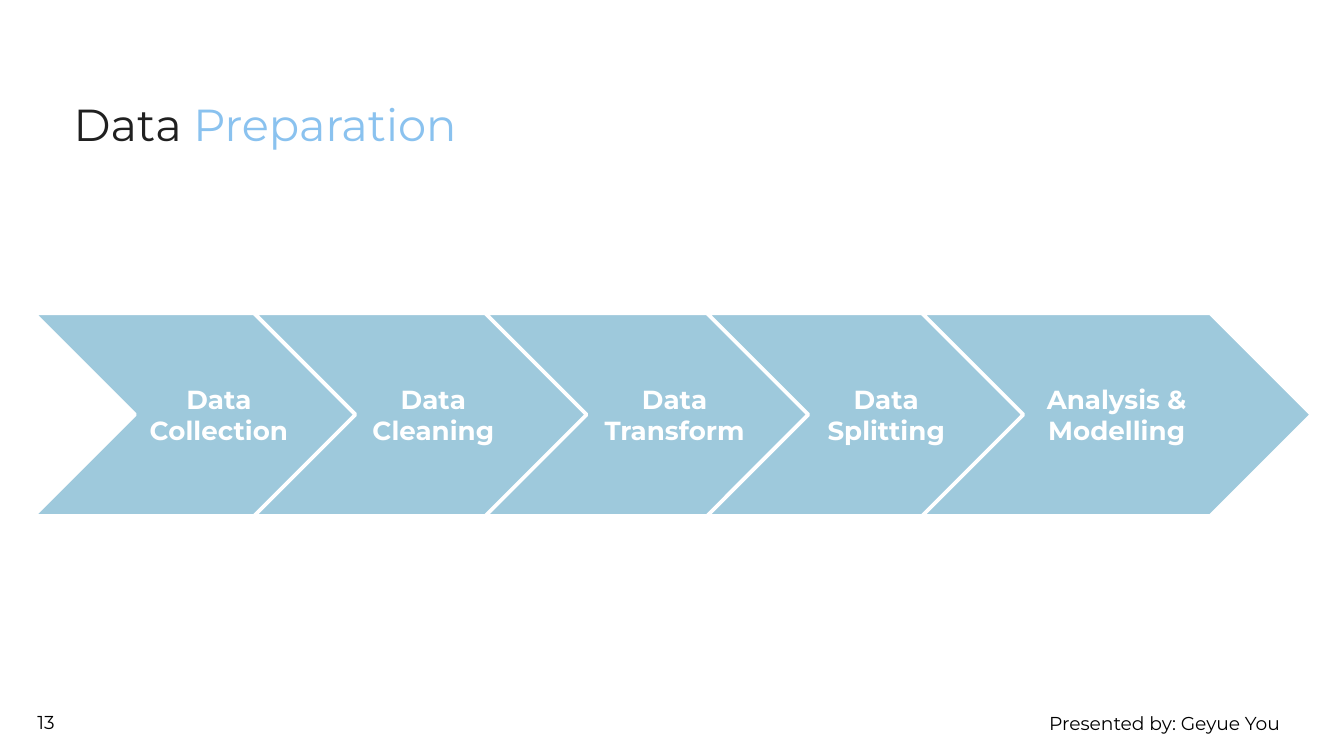
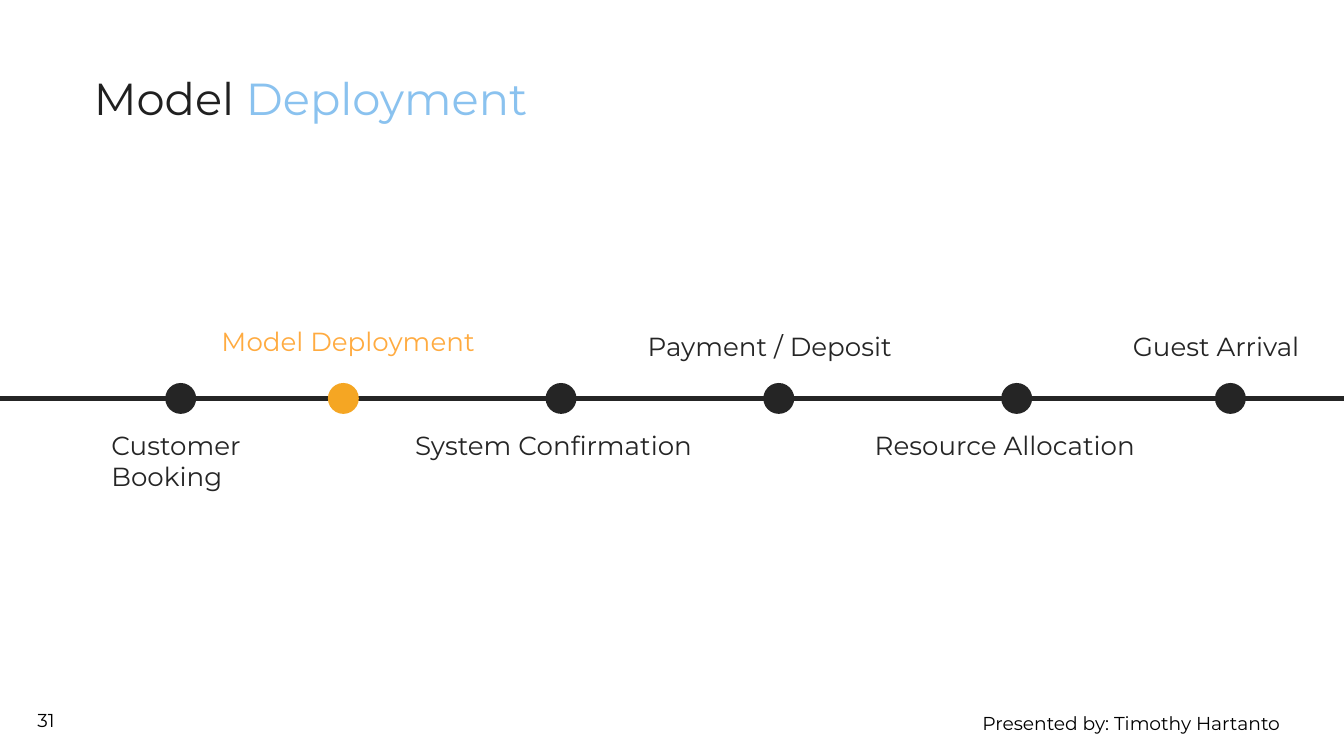
from pptx import Presentation
from pptx.dml.color import RGBColor
from pptx.enum.shapes import MSO_CONNECTOR, MSO_SHAPE
from pptx.enum.text import MSO_ANCHOR, PP_ALIGN
from pptx.oxml.ns import qn
from pptx.util import Inches, Pt
from lxml import etree

CHEVRON, OVAL, STRAIGHT = MSO_SHAPE.CHEVRON, MSO_SHAPE.OVAL, MSO_CONNECTOR.STRAIGHT
LEFT, CENTER, RIGHT = PP_ALIGN.LEFT, PP_ALIGN.CENTER, PP_ALIGN.RIGHT
TOP, MIDDLE, BOTTOM = MSO_ANCHOR.TOP, MSO_ANCHOR.MIDDLE, MSO_ANCHOR.BOTTOM
FONT = "Montserrat"
INK, SKY, STEEL, WHITE = "202020", "8AC2EF", "9EC9DC", "FFFFFF"
CHARCOAL, ORANGE, AMBER, BLACK = "252525", "FFAB40", "F5A623", "000000"

deck = Presentation()
deck.slide_width = Inches(10)
deck.slide_height = deck.slide_width * 9 // 16
COL = deck.slide_width / 100
ROW = deck.slide_height / 56.25


def color(target, value):
    if hasattr(target, "solid"):
        target.solid()
        target = target.fore_color
    target.rgb = RGBColor.from_string(value)


def write(holder, runs, size, align=LEFT, anchor=TOP, bold=False, pad=0.5):
    frame = holder.text_frame
    frame.word_wrap = True
    frame.vertical_anchor = anchor
    frame.margin_left = frame.margin_right = round(COL)
    frame.margin_top = frame.margin_bottom = round(pad * ROW)
    paragraph = frame.paragraphs[0]
    paragraph.alignment = align
    for words, shade in runs:
        run = paragraph.add_run()
        run.text = words
        run.font.name, run.font.size, run.font.bold = FONT, Pt(size), bold
        color(run.font.color, shade)


pages = [
    ("Data ", "Preparation", (4.5, 5.3, 82, 6.9), BOTTOM, "13", 52.2, "Geyue You"),
    ("Model ", "Deployment", (6, 4.3, 52.8, 11.3), TOP, "31", 52.1, "Timothy Hartanto"),
]
slides = []
for lead, accent, (left, top, width, height), anchor, number, number_row, presenter in pages:
    slide = deck.slides.add_slide(deck.slide_layouts[6])
    slides.append(slide)
    title = slide.shapes.add_textbox(round(left * COL), round(top * ROW), round(width * COL), round(height * ROW))
    write(title, [(lead, INK), (accent, SKY)], 24, anchor=anchor, pad=1)
    credit = slide.shapes.add_textbox(round(68.9 * COL), round(52.5 * ROW), round(27.3 * COL), round(2.7 * ROW))
    write(credit, [("Presented by: " + presenter, BLACK)], 10, RIGHT)
    page_number = slide.shapes.add_textbox(round(1.8 * COL), round(number_row * ROW), round(4.2 * COL), round(3 * ROW))
    write(page_number, [(number, BLACK)], 10, anchor=MIDDLE, pad=1)

preparation, deployment = slides

stages = [
    ("Data Collection", 2.5, 27.6),
    ("Data Cleaning", 18.9, 26.7),
    ("Data Transform", 36.1, 28.2),
    ("Data Splitting", 52.6, 26.7),
    ("Analysis & Modelling", 68.6, 29),
]
for words, left, width in stages:
    stage = preparation.shapes.add_shape(
        CHEVRON, round(left * COL), round(23.3 * ROW), round(width * COL), round(15.1 * ROW))
    stage.shadow.inherit = False
    color(stage.fill, STEEL)
    color(stage.line.fill, WHITE)
    stage.line.width = Pt(2)
    write(stage, [(words, WHITE)], 14, CENTER, MIDDLE, bold=True)

AXIS, DOT = 29.65, 2.3
ABOVE, BELOW = 24.1, 31.45
axis = deployment.shapes.add_connector(STRAIGHT, 0, round(AXIS * ROW), deck.slide_width, round(AXIS * ROW))
color(axis.line.fill, CHARCOAL)
axis.line.width = Pt(2.25)
etree.SubElement(axis._element.spPr, qn("a:effectLst"))

milestones = [
    ("Customer Booking", 12.3, 7.3, BELOW, 17.8, CHARCOAL, CHARCOAL),
    ("Model Deployment", 24.4, 15.5, ABOVE - 0.4, 50.3, AMBER, ORANGE),
    ("System Confirmation", 40.6, 29.9, BELOW, 26.9, CHARCOAL, CHARCOAL),
    ("Payment / Deposit", 56.8, 47.2, ABOVE, 21.5, CHARCOAL, CHARCOAL),
    ("Resource Allocation", 74.5, 64.1, BELOW, 23.3, CHARCOAL, CHARCOAL),
    ("Guest Arrival", 90.4, 83.3, ABOVE, 17.1, CHARCOAL, CHARCOAL),
]
for words, dot_left, left, top, width, dot_shade, text_shade in milestones:
    dot = deployment.shapes.add_shape(
        OVAL, round(dot_left * COL), round((AXIS - DOT / 2) * ROW), round(DOT * COL), round(DOT * ROW))
    dot.shadow.inherit = False
    color(dot.fill, dot_shade)
    dot.line.fill.background()
    caption = deployment.shapes.add_textbox(round(left * COL), round(top * ROW), round(width * COL), round(3.4 * ROW))
    write(caption, [(words, text_shade)], 14)

deck.save("out.pptx")
